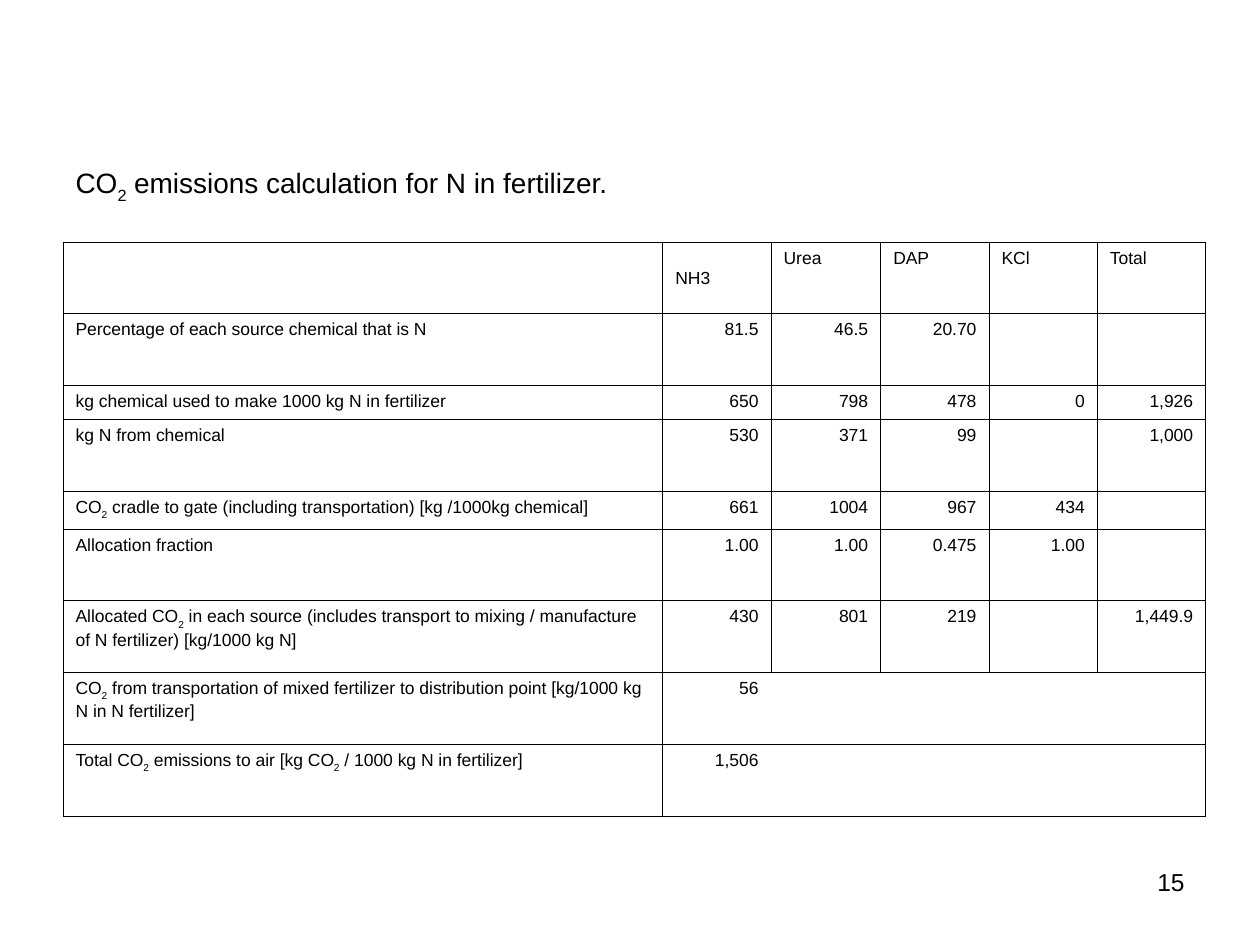
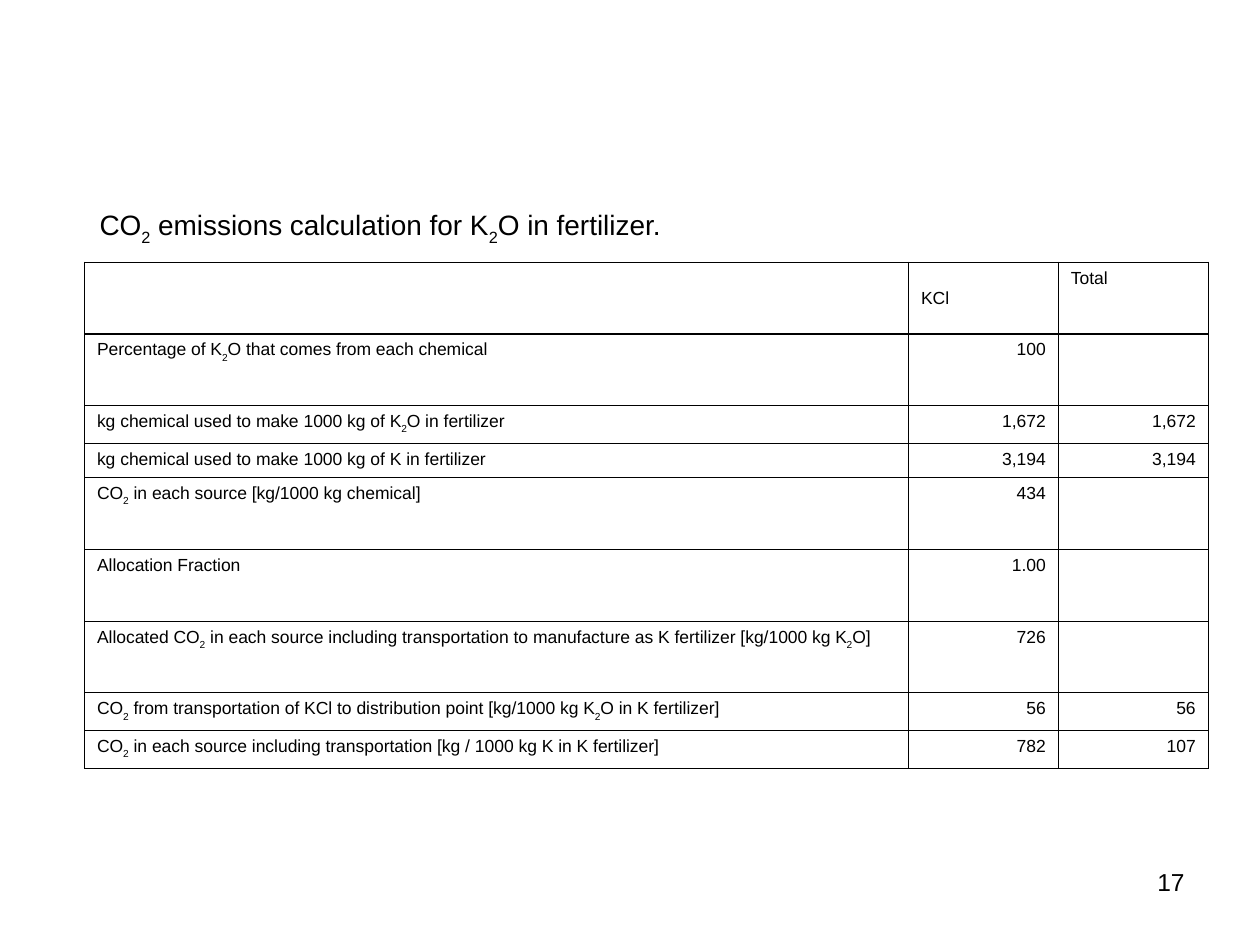
from dataclasses import dataclass
from itertools import chain

from lxml.etree import SubElement
from pptx import Presentation
from pptx.dml.color import RGBColor
from pptx.enum.text import MSO_ANCHOR, MSO_AUTO_SIZE, PP_ALIGN
from pptx.oxml import parse_xml
from pptx.oxml.ns import nsdecls, qn
from pptx.util import Inches, Pt


@dataclass(frozen=True)
class Theme:
    font: str = "Arial"
    ink: str = "000000"
    title_size: float = 16
    page_size: float = 14
    table_size: float = 10
    rule: float = 0.45
    header_rule: float = 0.96
    inset_x: float = 0.1
    inset_y: float = 0.05
    header_drop: float = 0.16
    tall: float = 0.57
    medium: float = 0.3
    short: float = 0.27


THEME = Theme()
T, M, S = THEME.tall, THEME.medium, THEME.short

NITROGEN_ROWS = [
    (T, "", "NH3", "Urea", "DAP", "KCl", "Total"),
    (T, "Percentage of each source chemical that is N", "81.5", "46.5", "20.70", "", ""),
    (S, "kg chemical used to make 1000 kg N in fertilizer", "650", "798", "478", "0", "1,926"),
    (T, "kg N from chemical", "530", "371", "99", "", "1,000"),
    (M, "CO₂ cradle to gate (including transportation) [kg /1000kg chemical]",
     "661", "1004", "967", "434", ""),
    (T, "Allocation fraction", "1.00", "1.00", "0.475", "1.00", ""),
    (T, "Allocated CO₂ in each source (includes transport to mixing / manufacture "
        "of N fertilizer) [kg/1000 kg N]", "430", "801", "219", "", "1,449.9"),
    (T, "CO₂ from transportation of mixed fertilizer to distribution point "
        "[kg/1000 kg N in N fertilizer]", "56", "", "", "", ""),
    (T, "Total CO₂ emissions to air [kg CO₂ / 1000 kg N in fertilizer]",
     "1,506", "", "", "", ""),
]

POTASSIUM_ROWS = [
    (T, "", "KCl", "Total"),
    (T, "Percentage of K₂O that comes from each chemical", "100", ""),
    (M, "kg chemical used to make 1000 kg of K₂O in fertilizer", "1,672", "1,672"),
    (S, "kg chemical used to make 1000 kg of K in fertilizer", "3,194", "3,194"),
    (T, "CO₂ in each source [kg/1000 kg chemical]", "434", ""),
    (T, "Allocation Fraction", "1.00", ""),
    (T, "Allocated CO₂ in each source including transportation to manufacture "
        "as K fertilizer [kg/1000 kg K₂O]", "726", ""),
    (M, "CO₂ from transportation of KCl to distribution point "
        "[kg/1000 kg K₂O in K fertilizer]", "56", "56"),
    (M, "CO₂ in each source including transportation [kg / 1000 kg K in K fertilizer]",
     "782", "107"),
]


def write(frame, text, size, align=PP_ALIGN.LEFT):
    paragraph = frame.paragraphs[0]
    paragraph.alignment = align
    if not text:
        SubElement(paragraph._p, qn("a:endParaRPr"), sz=str(int(size * 100)))
        return
    first, *rest = text.split("₂")
    pieces = chain([(first, False)], *([("2", True), (part, False)] for part in rest))
    for piece, is_subscript in pieces:
        if not piece:
            continue
        run = paragraph.add_run()
        run.text = piece
        run.font.name = THEME.font
        run.font.size = Pt(size)
        run.font.color.rgb = RGBColor.from_string(THEME.ink)
        if is_subscript:
            run.font._element.set("baseline", "-30000")


def set_insets(target, extra_top=0):
    target.margin_left = target.margin_right = Inches(THEME.inset_x)
    target.margin_top = Inches(THEME.inset_y + extra_top)
    target.margin_bottom = Inches(THEME.inset_y)


def set_borders(cell, **widths):
    properties = cell._tc.get_or_add_tcPr()
    for position, side in enumerate("LRTB"):
        width = widths[side]
        stroke = (f'<a:solidFill><a:srgbClr val="{THEME.ink}"/></a:solidFill>'
                  if width else "<a:noFill/>")
        properties.insert(position, parse_xml(
            f'<a:ln{side} {nsdecls("a")} w="{Pt(width)}">{stroke}</a:ln{side}>'))


def add_title(slide, text, left, top, width):
    title = slide.shapes.title
    title.left, title.top = Inches(left), Inches(top)
    title.width, title.height = Inches(width), Inches(0.42)
    frame = title.text_frame
    frame.word_wrap = True
    frame.auto_size = MSO_AUTO_SIZE.SHAPE_TO_FIT_TEXT
    frame.vertical_anchor = MSO_ANCHOR.MIDDLE
    set_insets(frame)
    write(frame, text, THEME.title_size)


def add_page_number(slide, number):
    frame = slide.shapes.add_textbox(
        Inches(7.17), Inches(6.83), Inches(2.33), Inches(0.52)).text_frame
    frame.word_wrap = True
    set_insets(frame)
    write(frame, str(number), THEME.page_size, align=PP_ALIGN.RIGHT)


def add_emissions_table(slide, rows, left, top, widths, open_rows=()):
    heights = [row[0] for row in rows]
    table = slide.shapes.add_table(
        len(rows), len(widths), Inches(left), Inches(top),
        Inches(sum(widths)), Inches(sum(heights))).table
    table.first_row = table.horz_banding = False
    for column, width in zip(table.columns, widths):
        column.width = Inches(width)
    last = len(widths) - 1
    for r, (height, *texts) in enumerate(rows):
        table.rows[r].height = Inches(height)
        for c, text in enumerate(texts):
            cell = table.cell(r, c)
            cell.fill.background()
            set_insets(cell, THEME.header_drop if (r, c) == (0, 1) else 0)
            write(cell.text_frame, text, THEME.table_size,
                  align=PP_ALIGN.RIGHT if r and c else PP_ALIGN.LEFT)
            is_open = r in open_rows
            set_borders(
                cell,
                L=0 if is_open and c > 1 else THEME.rule,
                R=0 if is_open and 0 < c < last else THEME.rule,
                T=THEME.header_rule if r == 1 else THEME.rule,
                B=THEME.header_rule if r == 0 else THEME.rule)


def add_calculation_slide(deck, title, title_box, page, rows, **table_format):
    slide = deck.slides.add_slide(deck.slide_layouts[5])
    add_title(slide, title, *title_box)
    add_emissions_table(slide, rows, **table_format)
    add_page_number(slide, page)


def main():
    deck = Presentation()
    deck.slide_width, deck.slide_height = Inches(10), Inches(7.5)
    add_calculation_slide(
        deck, "CO₂ emissions calculation for N in fertilizer.", (0.5, 1.26, 4.58), 15,
        NITROGEN_ROWS, left=0.5, top=1.92,
        widths=[4.76, 0.86, 0.87, 0.86, 0.86, 0.86], open_rows=(7, 8))
    add_calculation_slide(
        deck, "CO₂ emissions calculation for K₂O in fertilizer.", (0.69, 1.59, 4.7), 17,
        POTASSIUM_ROWS, left=0.67, top=2.08, widths=[6.54, 1.19, 1.19])
    deck.save("out.pptx")


if __name__ == "__main__":
    main()
